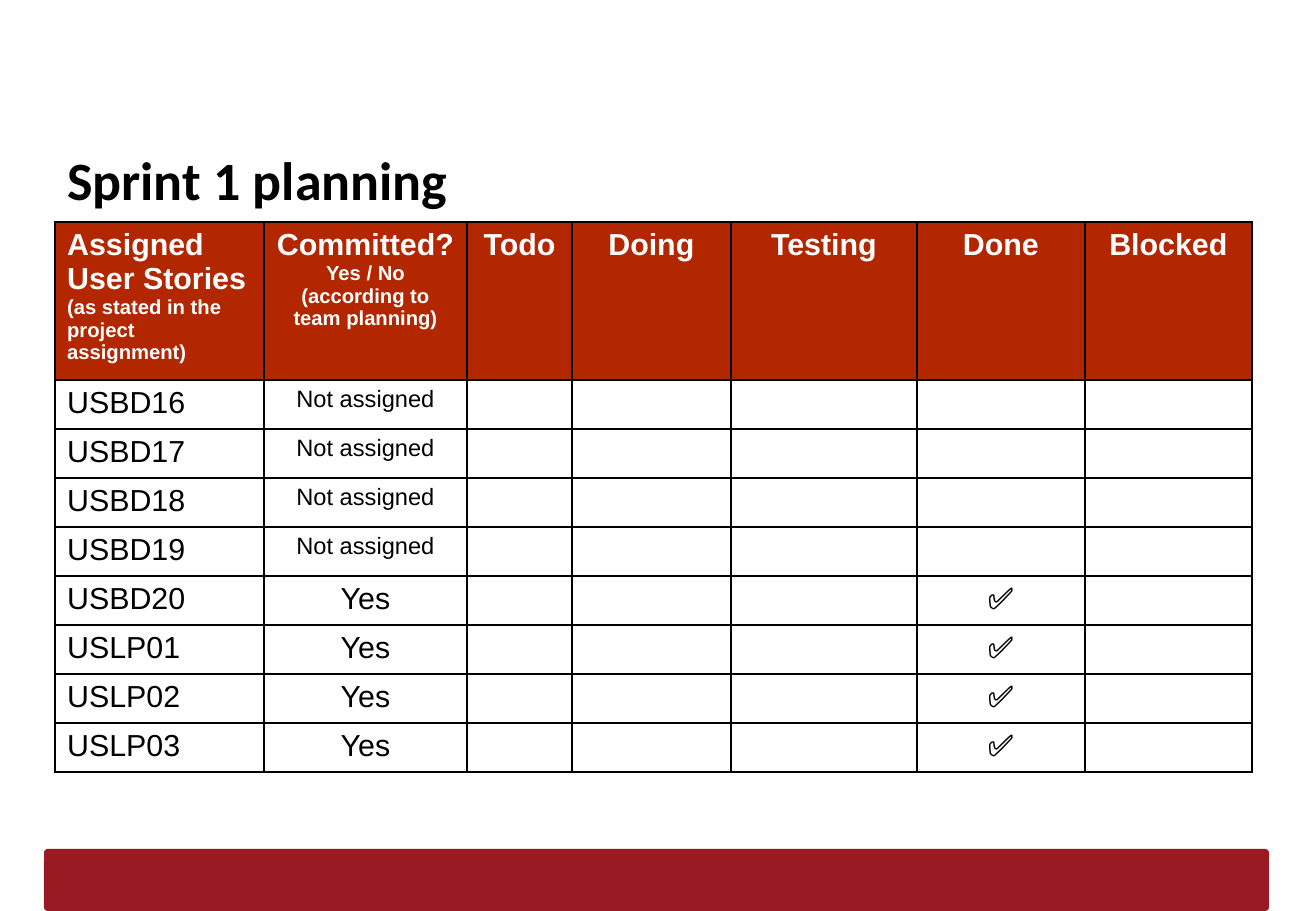
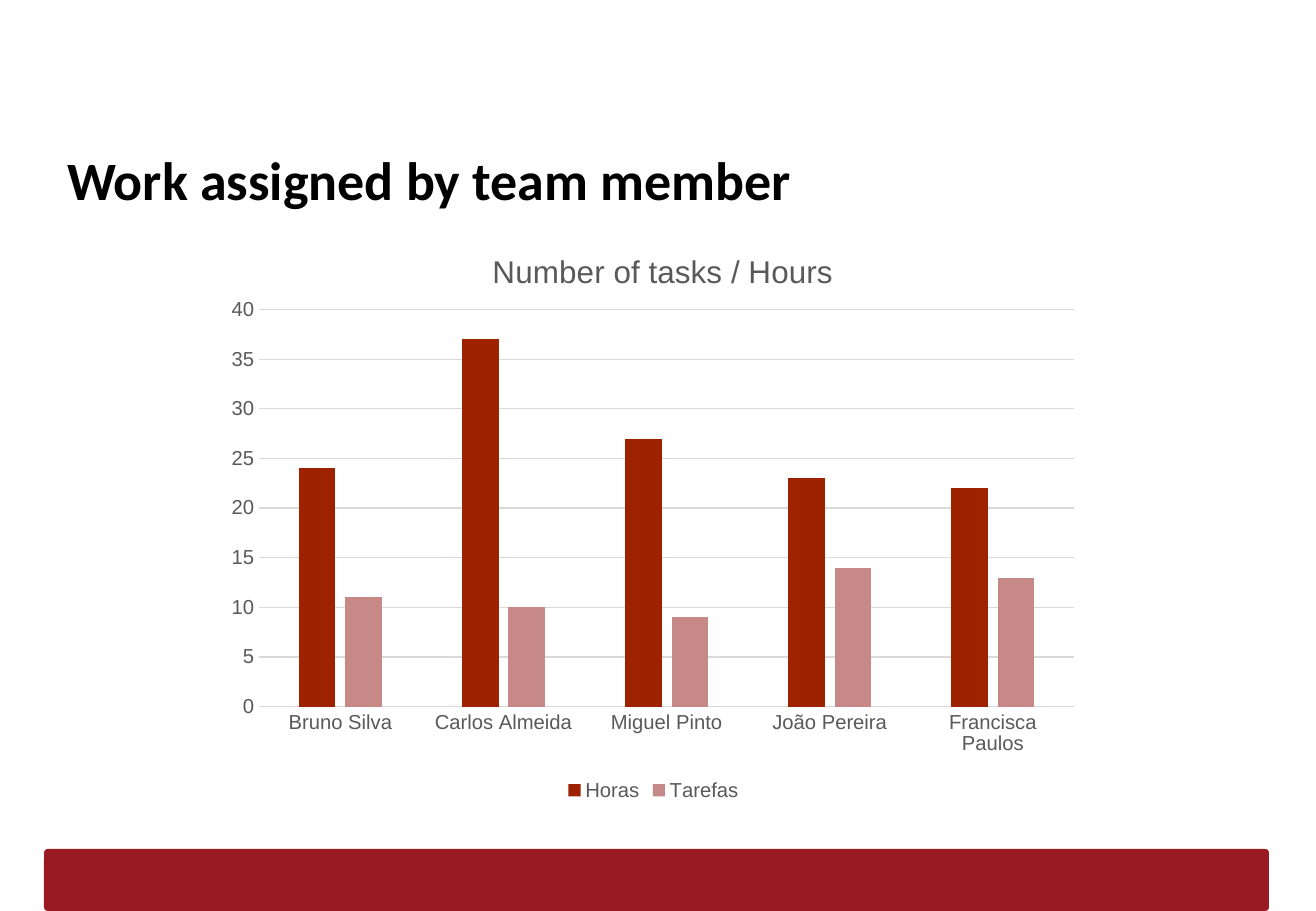
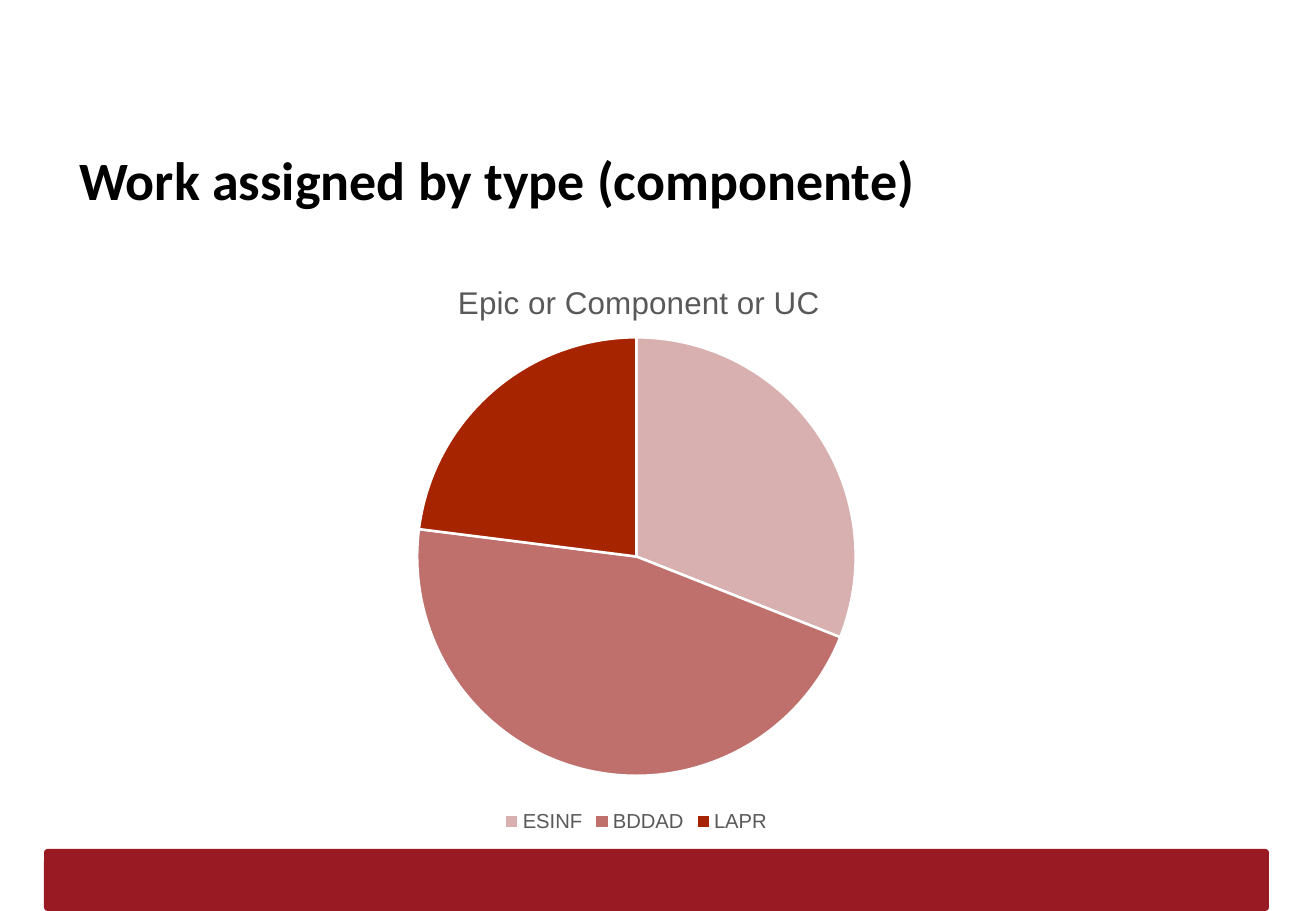
from dataclasses import dataclass
from typing import Optional

from lxml.etree import SubElement
from pptx import Presentation
from pptx.chart.chart import Chart
from pptx.chart.data import CategoryChartData
from pptx.dml.color import RGBColor
from pptx.enum.chart import XL_CHART_TYPE, XL_LEGEND_POSITION, XL_TICK_MARK
from pptx.enum.shapes import MSO_SHAPE
from pptx.enum.text import MSO_ANCHOR, PP_ALIGN
from pptx.oxml import parse_xml
from pptx.oxml.ns import nsdecls, qn
from pptx.slide import Slide
from pptx.table import _Cell
from pptx.util import Emu, Pt

EMU_PER_PX = 7526


def px(length: int) -> Emu:
    return Emu(length * EMU_PER_PX)


@dataclass(frozen=True)
class Theme:
    # Colours
    black: str = "000000"
    white: str = "FFFFFF"
    band: str = "9A1A24"
    header: str = "B22600"
    chart_text: str = "595959"
    grid: str = "D9D9D9"
    hours: str = "9E2200"
    tasks: str = "C78987"
    components: tuple[str, ...] = ("D7B0AF", "BF706C", "A72400")
    # Fonts and type sizes
    title_font: str = "Calibri"
    body_font: str = "Arial"
    title_size: float = 32
    chart_title_size: float = 18.6
    body_size: float = 18
    small_size: float = 14
    note_size: float = 12


THEME = Theme()


@dataclass(frozen=True)
class Box:
    left: int
    top: int
    width: int
    height: int

    def emu(self) -> tuple[Emu, Emu, Emu, Emu]:
        return px(self.left), px(self.top), px(self.width), px(self.height)


@dataclass(frozen=True)
class Run:
    text: str
    size: float = THEME.body_size


@dataclass(frozen=True)
class Heading:
    paragraphs: tuple[tuple[Run, ...], ...]
    width: int
    centred: bool = True


@dataclass(frozen=True)
class Story:
    code: str
    committed: bool


@dataclass(frozen=True)
class Series:
    name: str
    values: tuple[int, ...]
    color: Optional[str] = None


@dataclass(frozen=True)
class Layout:
    """Fractions of the chart area."""
    x: float
    y: float
    w: Optional[float] = None
    h: Optional[float] = None


SLIDE_WIDTH, SLIDE_HEIGHT = 1316, 911
BAND = Box(44, 849, 1225, 62)
TITLE = Box(55, 132, 1225, 77)
TABLE_LEFT, TABLE_TOP = 55, 222
HEADER_HEIGHT, ROW_HEIGHT = 148, 49
DONE_COLUMN = 5

HEADINGS = (
    Heading(((Run("Assigned User Stories "),
              Run("(as stated in the project assignment)", THEME.note_size)),), 209, False),
    Heading(((Run("Committed?"),),
             (Run("Yes / No (according to team planning)", THEME.note_size),)), 203),
    Heading(((Run("Todo"),),), 105),
    Heading(((Run("Doing"),),), 159),
    Heading(((Run("Testing"),),), 186),
    Heading(((Run("Done"),),), 168),
    Heading(((Run("Blocked"),),), 167),
)

STORIES = (
    Story("USBD16", False),
    Story("USBD17", False),
    Story("USBD18", False),
    Story("USBD19", False),
    Story("USBD20", True),
    Story("USLP01", True),
    Story("USLP02", True),
    Story("USLP03", True),
)


def style_font(font, size: float, color: str, name: str = THEME.body_font,
               bold: bool = False) -> None:
    font.name = name
    font.size = Pt(size)
    font.bold = bold
    font.color.rgb = RGBColor.from_string(color)


def paint(fill, color: str) -> None:
    fill.solid()
    fill.fore_color.rgb = RGBColor.from_string(color)


# Shared slide frame
def add_framed_slide(prs, title: str, inset: int = 12) -> Slide:
    slide = prs.slides.add_slide(prs.slide_layouts[6])
    band = slide.shapes.add_shape(MSO_SHAPE.ROUNDED_RECTANGLE, *BAND.emu())
    band.adjustments[0] = 0.06
    band.shadow.inherit = False
    paint(band.fill, THEME.band)
    band.line.fill.background()

    heading = slide.shapes.add_textbox(*TITLE.emu()).text_frame
    heading.word_wrap = True
    heading.vertical_anchor = MSO_ANCHOR.TOP
    heading.margin_left = px(inset)
    heading.margin_right = px(12)
    heading.margin_top = px(15)
    heading.margin_bottom = px(12)
    heading.text = title
    style_font(heading.paragraphs[0].runs[0].font, THEME.title_size, THEME.black,
               THEME.title_font, True)
    return slide


# Table
def add_borders(cell: _Cell) -> None:
    properties = cell._tc.get_or_add_tcPr()
    for side in ("lnL", "lnR", "lnT", "lnB"):
        line = SubElement(properties, qn(f"a:{side}"), w=str(Pt(1)))
        fill = SubElement(line, qn("a:solidFill"))
        SubElement(fill, qn("a:srgbClr"), val=THEME.black)


def fill_cell(cell: _Cell, paragraphs: tuple[tuple[Run, ...], ...], centred: bool,
              header: bool = False) -> None:
    add_borders(cell)
    paint(cell.fill, THEME.header if header else THEME.white)
    color = THEME.white if header else THEME.black
    for index, runs in enumerate(paragraphs):
        frame = cell.text_frame
        paragraph = frame.add_paragraph() if index else frame.paragraphs[0]
        paragraph.alignment = PP_ALIGN.CENTER if centred else PP_ALIGN.LEFT
        for part in runs:
            run = paragraph.add_run()
            run.text = part.text
            style_font(run.font, part.size, color, bold=header)


def add_planning_table(slide: Slide) -> None:
    area = Box(TABLE_LEFT, TABLE_TOP, sum(h.width for h in HEADINGS),
               HEADER_HEIGHT + ROW_HEIGHT * len(STORIES))
    table = slide.shapes.add_table(len(STORIES) + 1, len(HEADINGS), *area.emu()).table
    table.first_row = table.horz_banding = False
    for column, heading in enumerate(HEADINGS):
        table.columns[column].width = px(heading.width)
        fill_cell(table.cell(0, column), heading.paragraphs, heading.centred, True)
    table.rows[0].height = px(HEADER_HEIGHT)

    for row, story in enumerate(STORIES, start=1):
        table.rows[row].height = px(ROW_HEIGHT)
        status = Run("Yes") if story.committed else Run("Not assigned", THEME.small_size)
        entries = {0: Run(story.code), 1: status}
        if story.committed:
            entries[DONE_COLUMN] = Run("✅")
        for column in range(len(HEADINGS)):
            paragraphs = ((entries[column],),) if column in entries else ()
            fill_cell(table.cell(row, column), paragraphs, column > 0)


# Charts
def place(parent, index: int, layout: Layout, inner: bool = False) -> None:
    for previous in parent.findall(qn("c:layout")):
        parent.remove(previous)
    target = '<c:layoutTarget val="inner"/>' if inner else ""
    sizes = "".join(f'<c:{key} val="{value}"/>'
                    for key, value in (("w", layout.w), ("h", layout.h)) if value is not None)
    parent.insert(index, parse_xml(
        f'<c:layout {nsdecls("c")}><c:manualLayout>{target}'
        f'<c:xMode val="edge"/><c:yMode val="edge"/>'
        f'<c:x val="{layout.x}"/><c:y val="{layout.y}"/>{sizes}'
        f'</c:manualLayout></c:layout>'))


def add_titled_chart(slide: Slide, kind: XL_CHART_TYPE, area: Box, title: str,
                     categories: tuple[str, ...], series: tuple[Series, ...],
                     title_layout: Layout, plot_layout: Layout) -> Chart:
    data = CategoryChartData()
    data.categories = categories
    for item in series:
        data.add_series(item.name, item.values)
    chart = slide.shapes.add_chart(kind, *area.emu(), data).chart
    style_font(chart.font, THEME.note_size, THEME.chart_text)

    chart.has_title = True
    caption = chart.chart_title
    caption.include_in_layout = False
    caption.text_frame.text = title
    style_font(caption.text_frame.paragraphs[0].runs[0].font,
               THEME.chart_title_size, THEME.chart_text)
    place(caption._element, 1, title_layout)
    place(chart._chartSpace.chart.plotArea, 0, plot_layout, inner=True)

    chart.has_legend = True
    chart.legend.position = XL_LEGEND_POSITION.BOTTOM
    chart.legend.include_in_layout = False
    style_font(chart.legend.font, THEME.note_size, THEME.chart_text)
    return chart


def add_member_chart(slide: Slide) -> None:
    series = (Series("Horas", (24, 37, 27, 23, 22), THEME.hours),
              Series("Tarefas", (11, 10, 9, 14, 13), THEME.tasks))
    chart = add_titled_chart(
        slide, XL_CHART_TYPE.COLUMN_CLUSTERED, Box(215, 222, 877, 584),
        "Number of tasks / Hours",
        ("Bruno Silva", "Carlos Almeida", "Miguel Pinto", "João Pereira", "Francisca Paulos"),
        series, Layout(0.31, 0.04), Layout(0.05, 0.15, 0.93, 0.68))
    plot = chart.plots[0]
    plot.vary_by_categories = False
    plot.gap_width = 219
    plot.overlap = -27
    for columns, item in zip(plot.series, series):
        paint(columns.format.fill, item.color)
        columns.invert_if_negative = False

    for axis in (chart.category_axis, chart.value_axis):
        axis.major_tick_mark = axis.minor_tick_mark = XL_TICK_MARK.NONE
        style_font(axis.tick_labels.font, THEME.note_size, THEME.chart_text)
    hours_axis = chart.value_axis
    hours_axis.minimum_scale, hours_axis.maximum_scale, hours_axis.major_unit = 0, 40, 5
    hours_axis.format.line.fill.background()
    hours_axis.has_major_gridlines = True
    for line in (chart.category_axis.format.line, hours_axis.major_gridlines.format.line):
        paint(line.fill, THEME.grid)
        line.width = Pt(0.75)


def add_component_chart(slide: Slide) -> None:
    chart = add_titled_chart(
        slide, XL_CHART_TYPE.PIE, Box(198, 253, 877, 584), "Epic or Component or UC",
        ("ESINF", "BDDAD", "LAPR"), (Series("Series 1", (31, 46, 23)),),
        Layout(0.29, 0.04), Layout(0.25, 0.14, 0.5, 0.76))
    plot = chart.plots[0]
    plot.vary_by_categories = True
    for index, color in enumerate(THEME.components):
        slice_format = plot.series[0].points[index].format
        paint(slice_format.fill, color)
        paint(slice_format.line.fill, THEME.white)
        slice_format.line.width = Pt(1.5)


def main() -> None:
    prs = Presentation()
    prs.slide_width, prs.slide_height = px(SLIDE_WIDTH), px(SLIDE_HEIGHT)
    add_planning_table(add_framed_slide(prs, "Sprint 1 planning"))
    add_member_chart(add_framed_slide(prs, "Work assigned by team member"))
    add_component_chart(add_framed_slide(prs, "Work assigned by type (componente)", inset=24))
    prs.save("out.pptx")


if __name__ == "__main__":
    main()
